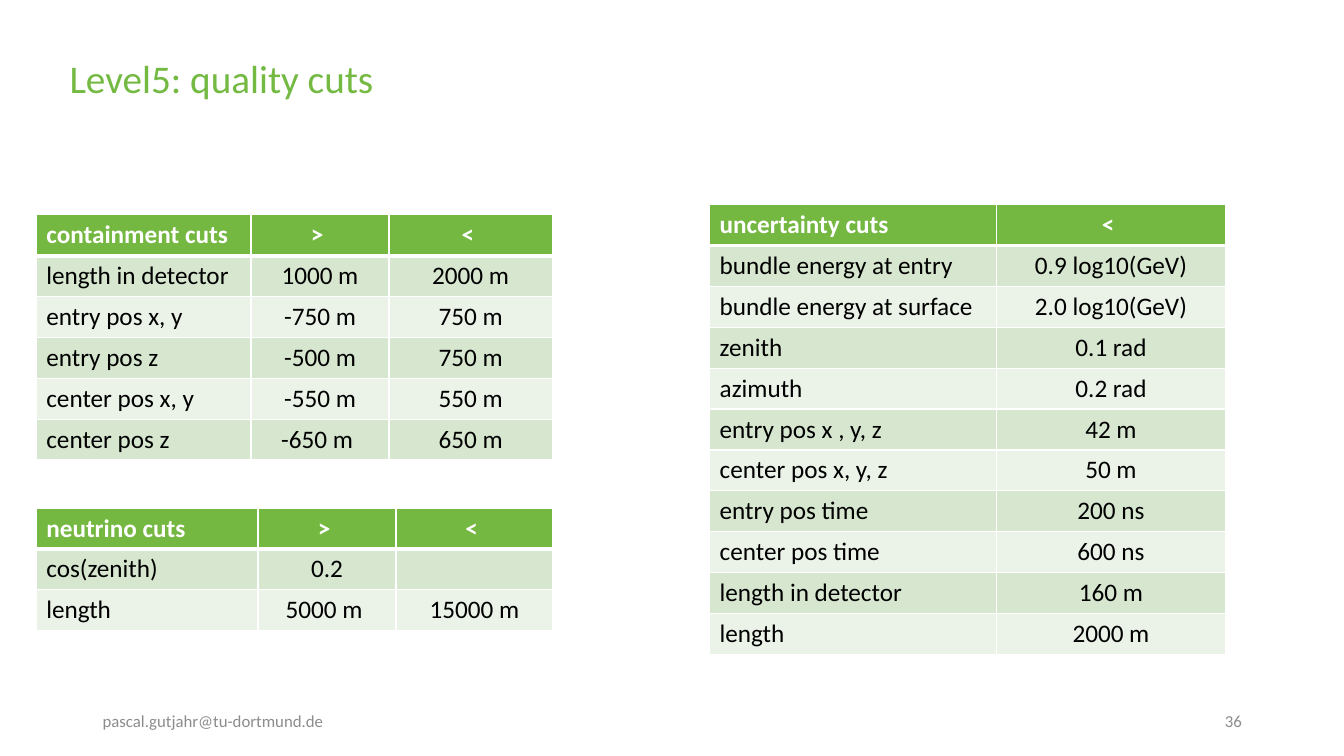
from lxml.etree import SubElement
from pptx import Presentation
from pptx.dml.color import RGBColor
from pptx.enum.text import MSO_ANCHOR as Anchor, PP_ALIGN as Align
from pptx.oxml.ns import qn
from pptx.util import Pt

FONT = "Calibri"
GREEN, LIGHT, PALE = "74B842", "D6E6CF", "EBF3E9"
WHITE, BLACK, GREY = "FFFFFF", "000000", "8C8C8C"
ROW_HEIGHT = 29.2

CONTAINMENT = [
    ("containment cuts", "> ", "< "),
    ("length in detector", "1000 m", "2000 m"),
    ("entry pos x, y", "-750 m", "750 m"),
    ("entry pos z", "-500 m", "750 m"),
    ("center pos x, y", "-550 m", "550 m"),
    ("center pos z", "-650 m ", "650 m"),
]
NEUTRINO = [
    ("neutrino cuts", "> ", "< "),
    ("cos(zenith)", "0.2", ""),
    ("length", "5000 m ", "15000 m"),
]
UNCERTAINTY = [
    ("uncertainty cuts", "< "),
    ("bundle energy at entry", "0.9 log10(GeV)"),
    ("bundle energy at surface", "2.0 log10(GeV)"),
    ("zenith", "0.1 rad"),
    ("azimuth", "0.2 rad"),
    ("entry pos x , y, z", "42 m"),
    ("center pos x, y, z", "50 m"),
    ("entry pos time", "200 ns"),
    ("center pos time", "600 ns"),
    ("length in detector", "160 m"),
    ("length", "2000 m"),
]


def color(value):
    return RGBColor.from_string(value)


def write(text_frame, text, size, text_color, align=Align.LEFT, bold=False):
    paragraph = text_frame.paragraphs[0]
    paragraph.text = text
    paragraph.alignment = align
    font = paragraph.font
    font.name, font.size, font.bold = FONT, Pt(size), bold
    font.color.rgb = color(text_color)
    return paragraph


def set_title(slide, text):
    title = slide.shapes.title
    title.left, title.top, title.width, title.height = Pt(42.5), Pt(28.8), Pt(906.5), Pt(58.3)
    title.text_frame.vertical_anchor = Anchor.MIDDLE
    write(title.text_frame, text, 28, "74B942").line_spacing = 0.9


def add_footer(slide, left, text, align):
    box = slide.shapes.add_textbox(Pt(left), Pt(500.4), Pt(216), Pt(28.8))
    box.text_frame.word_wrap = True
    box.text_frame.vertical_anchor = Anchor.MIDDLE
    write(box.text_frame, text, 12, GREY, align)


def set_borders(cell, top, bottom):
    properties = cell._tc.get_or_add_tcPr()
    for side, width in (("L", 1), ("R", 1), ("T", top), ("B", bottom)):
        line = SubElement(properties, qn(f"a:ln{side}"), w=str(Pt(width)))
        fill = SubElement(line, qn("a:solidFill"))
        SubElement(fill, qn("a:srgbClr"), val=WHITE)


def add_cut_table(slide, left, top, widths, rows):
    frame = slide.shapes.add_table(len(rows), len(widths), Pt(left), Pt(top),
                                   Pt(sum(widths)), Pt(ROW_HEIGHT * len(rows)))
    table = frame.table
    for column, width in zip(table.columns, widths):
        column.width = Pt(width)
    for i, row in enumerate(rows):
        table.rows[i].height = Pt(ROW_HEIGHT)
        header = i == 0
        background = GREEN if header else (PALE, LIGHT)[i % 2]
        for j, text in enumerate(row):
            cell = table.cell(i, j)
            # A thick rule separates the header from the first data row
            set_borders(cell, top=3 if i == 1 else 1, bottom=3 if header else 1)
            cell.fill.solid()
            cell.fill.fore_color.rgb = color(background)
            write(cell.text_frame, text, 18, WHITE if header else BLACK,
                  Align.CENTER if j else Align.LEFT, bold=header)


def main():
    presentation = Presentation()
    presentation.slide_width, presentation.slide_height = Pt(960), Pt(540)
    slide = presentation.slides.add_slide(presentation.slide_layouts[5])

    set_title(slide, "Level5: quality cuts")

    # Cut tables
    add_cut_table(slide, 25.9, 153.4, (153.4, 98.6, 116.6), CONTAINMENT)
    add_cut_table(slide, 25.9, 362.9, (158.4, 98.6, 112), NEUTRINO)
    add_cut_table(slide, 506.9, 146.2, (205, 163.4), UNCERTAINTY)

    # Footer
    add_footer(slide, 66.2, "pascal.gutjahr@tu-dortmund.de", Align.LEFT)
    add_footer(slide, 678.2, "36", Align.RIGHT)

    presentation.save("out.pptx")


if __name__ == "__main__":
    main()
